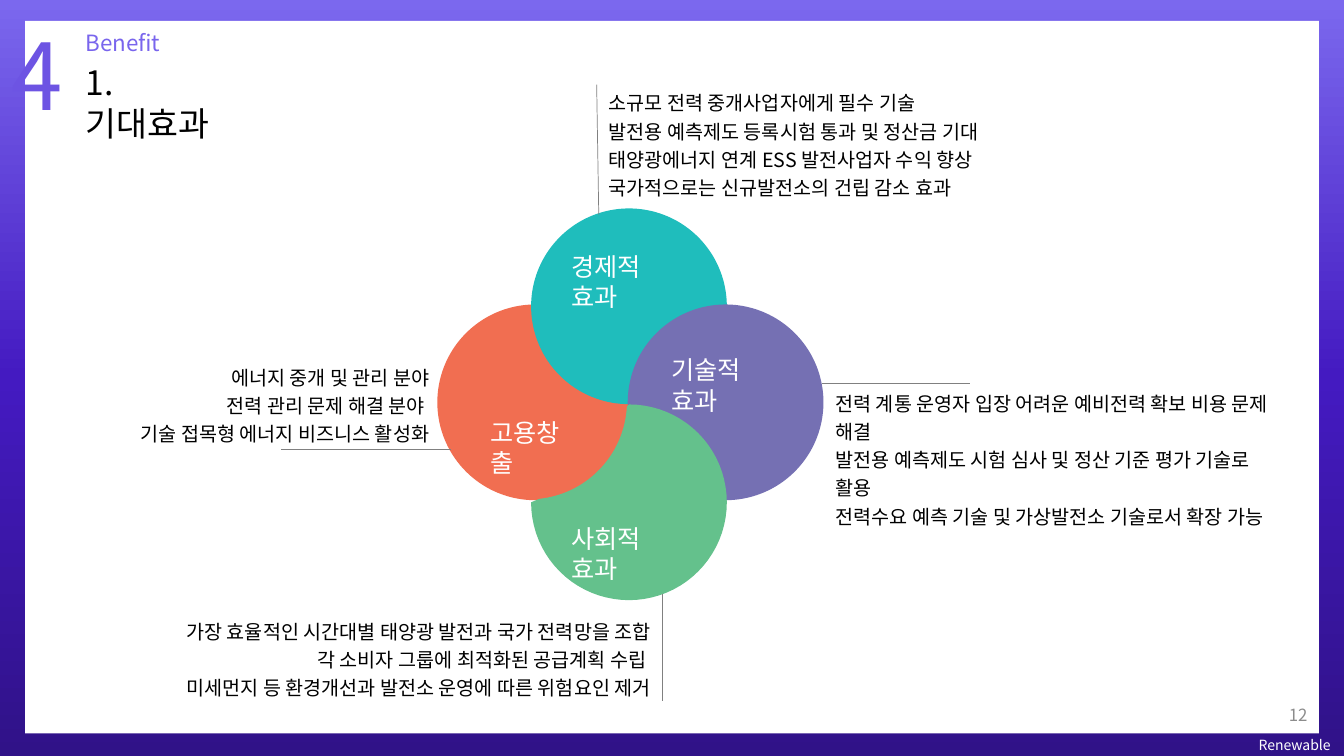
from copy import deepcopy
from dataclasses import dataclass
from math import cos, radians, sin

from lxml.etree import SubElement
from pptx import Presentation
from pptx.dml.color import RGBColor
from pptx.enum.shapes import MSO_CONNECTOR as Connector, MSO_SHAPE as Shape
from pptx.enum.text import MSO_ANCHOR as Anchor, PP_ALIGN as Align
from pptx.oxml.ns import qn
from pptx.util import Pt


@dataclass(frozen=True)
class Theme:
    font: str = "Noto Sans CJK KR"
    ink: str = "000000"
    paper: str = "FFFFFF"
    accent: str = "7965ED"
    line: str = "808080"
    muted: str = "8C8C8C"
    economy: str = "1FBDBC"
    technology: str = "7570B3"
    society: str = "64C18C"
    jobs: str = "F16E51"
    frame_stops: tuple = ((0, "301288"), (0.5, "441AC1"), (1, "7B68EE"))
    number_stops: tuple = ((0.27, "6D54E3"), (1, "7966ED"))
    number_size: int = 66
    title_size: int = 24
    label_size: int = 18
    section_size: int = 16
    note_size: int = 14
    page_size: int = 12
    footer_size: int = 10


THEME = Theme()


@dataclass(frozen=True)
class Box:
    """A rectangle in points."""
    left: float
    top: float
    width: float
    height: float

    def inner(self, left, top, width, height):
        return Box(self.left + left, self.top + top, width, height)

    def lengths(self):
        return [Pt(value) for value in (self.left, self.top, self.width, self.height)]


def paint_gradient(fill, stops):
    """Fill from bottom to top with (position, colour) stops."""
    fill.gradient()
    fill.gradient_angle = 90
    last = fill.gradient_stops[-1]._element
    for _ in range(len(stops) - len(fill.gradient_stops)):
        last.addnext(deepcopy(last))
    for stop, (position, color) in zip(fill.gradient_stops, stops):
        stop.position = position
        stop.color.rgb = RGBColor.from_string(color)


def paint_solid(shape, color):
    shape.shadow.inherit = False
    shape.line.fill.background()
    shape.fill.solid()
    shape.fill.fore_color.rgb = RGBColor.from_string(color)


def add_text(page, box, text, size, color, align=Align.LEFT, spacing=None, anchor=Anchor.TOP):
    """Add wrapped text; color is a hex string or a tuple of gradient stops."""
    frame = page.shapes.add_textbox(*box.lengths()).text_frame
    frame.word_wrap = True
    frame.vertical_anchor = anchor
    frame.text = text
    for para in frame.paragraphs:
        para.alignment = align
        para.line_spacing = spacing
        for span in para.runs:
            font = span.font
            font.size = Pt(size)
            font.name = THEME.font
            if isinstance(color, tuple):
                paint_gradient(font.fill, color)
            else:
                font.color.rgb = RGBColor.from_string(color)
            SubElement(font._element, qn("a:ea"), typeface=THEME.font)


def add_line(page, *ends):
    line = page.shapes.add_connector(Connector.STRAIGHT, *[Pt(value) for value in ends])
    line.line.color.rgb = RGBColor.from_string(THEME.line)
    line.line.width = Pt(0.5)
    SubElement(line._element.spPr, qn("a:effectLst"))


def draw_frame(page, box):
    border = page.shapes.add_shape(Shape.RECTANGLE, *box.lengths())
    paint_solid(border, THEME.paper)
    paint_gradient(border.fill, THEME.frame_stops)
    paper = box.inner(18, 15, box.width - 36, box.height - 31)
    paint_solid(page.shapes.add_shape(Shape.RECTANGLE, *paper.lengths()), THEME.paper)


def draw_heading(page, box):
    add_text(page, box.inner(52.6, 31.6, 127.4, 36), "1. 기대효과", THEME.title_size, THEME.ink)
    add_text(page, box.inner(0, 0, 63.4, 87), "4", THEME.number_size, THEME.number_stops)
    add_text(page, box.inner(52.6, 7.8, 173, 26.6), "Benefit", THEME.section_size, THEME.accent)


def arc(center_x, center_y, radius, start, end, steps=60):
    """Points along an arc, with angles in degrees clockwise from the right."""
    angles = [radians(start + (end - start) * step / steps) for step in range(steps + 1)]
    return [(Pt(center_x + radius * cos(angle)), Pt(center_y + radius * sin(angle)))
            for angle in angles]


def draw_crescent(page, center_x, center_y, radius, color):
    """Draw a disc with its upper left quarter hollowed out."""
    outer = arc(center_x, center_y, radius, -90, 180)
    hollow = arc(center_x - 71.3, center_y - 72, radius, 84, 3)
    start, *rest = outer + hollow
    builder = page.shapes.build_freeform(*start, scale=1.0)
    builder.add_line_segments(rest, close=True)
    paint_solid(builder.convert_to_shape(), color)


def draw_flower(page, box):
    """Draw the four overlapping petals around the middle of the box."""
    radius = 69.9
    hub_x = box.left + box.width / 2 - 2
    hub_y = box.top + box.height / 2
    petals = ((-67, -1.4, THEME.jobs), (0, -70, THEME.economy), (69, -1.4, THEME.technology))
    for shift_x, shift_y, color in petals:
        petal = Box(hub_x + shift_x - radius, hub_y + shift_y - radius, 2 * radius, 2 * radius)
        paint_solid(page.shapes.add_shape(Shape.OVAL, *petal.lengths()), color)
    draw_crescent(page, hub_x, hub_y + 70, radius, THEME.society)

    labels = (
        ("경제적 효과", 88.6, 26.7, 97.2),
        ("기술적 효과", 159.9, 100.8, 97.2),
        ("사회적 효과", 88.6, 221, 97.2),
        ("고용창출", 31, 145.5, 77),
    )
    for text, left, top, width in labels:
        add_text(page, box.inner(left, top, width, 29), text, THEME.label_size, THEME.paper)


def draw_note(page, box, lines, align, leader):
    """Place a note and its leader line; leader ends are offsets from the box."""
    start_x, start_y, end_x, end_y = leader
    add_line(page, box.left + start_x, box.top + start_y, box.left + end_x, box.top + end_y)
    add_text(page, box, "\n".join(lines), THEME.note_size, THEME.ink, align, 1.2)


def draw_notes(page, box):
    draw_note(page, box.inner(427.7, 58.3, 286, 88),
              ("소규모 전력 중개사업자에게 필수 기술",
               "발전용 예측제도 등록시험 통과 및 정산금 기대",
               "태양광에너지 연계 ESS 발전사업자 수익 향상\v국가적으로는 신규발전소의 건립 감소 효과"),
              Align.LEFT, (-1.5, 2.2, 0, 95))
    draw_note(page, box.inner(589.7, 272.9, 337.7, 67),
              ("전력 계통 운영자 입장 어려운 예비전력 확보 비용 문제 해결",
               "발전용 예측제도 시험 심사 및 정산 기준 평가 기술로 활용",
               "전력수요 예측 기술 및 가상발전소 기술로서 확장 가능"),
              Align.LEFT, (-2.9, 0.7, 103, 0.7))
    draw_note(page, box.inner(78.5, 435.6, 393.8, 67),
              ("가장 효율적인 시간대별 태양광 발전과 국가 전력망을 조합",
               "각 소비자 그룹에 최적화된 공급계획 수립 ",
               "미세먼지 등 환경개선과 발전소 운영에 따른 위험요인 제거"),
              Align.RIGHT, (394.5, -11.5, 394.5, 64.8))
    draw_note(page, box.inner(26.6, 254.2, 287.3, 67),
              ("에너지 중개 및 관리 분야",
               "전력 관리 문제 해결 분야 ",
               "기술 접목형 에너지 비즈니스 활성화"),
              Align.RIGHT, (174.3, 66.9, 295.2, 66.9))


def draw_footer(page, box):
    add_text(page, box.inner(167, 26.6, 68.4, 19.4), "Renewable", THEME.footer_size, THEME.paper)
    add_text(page, box.inner(0, 0, 216, 28.8), "12", THEME.page_size, THEME.muted,
             Align.RIGHT, anchor=Anchor.MIDDLE)


def main():
    deck = Presentation()
    deck.slide_width, deck.slide_height = Pt(960), Pt(540)
    page = deck.slides.add_slide(deck.slide_layouts[6])
    whole = Box(0, 0, 960, 540)
    draw_frame(page, whole)
    draw_heading(page, whole.inner(1.4, 9.4, 225, 87))
    draw_flower(page, whole.inner(312.4, 149, 277.8, 279.6))
    draw_notes(page, whole)
    draw_footer(page, whole.inner(725, 496, 235, 44))
    deck.save("out.pptx")


if __name__ == "__main__":
    main()
